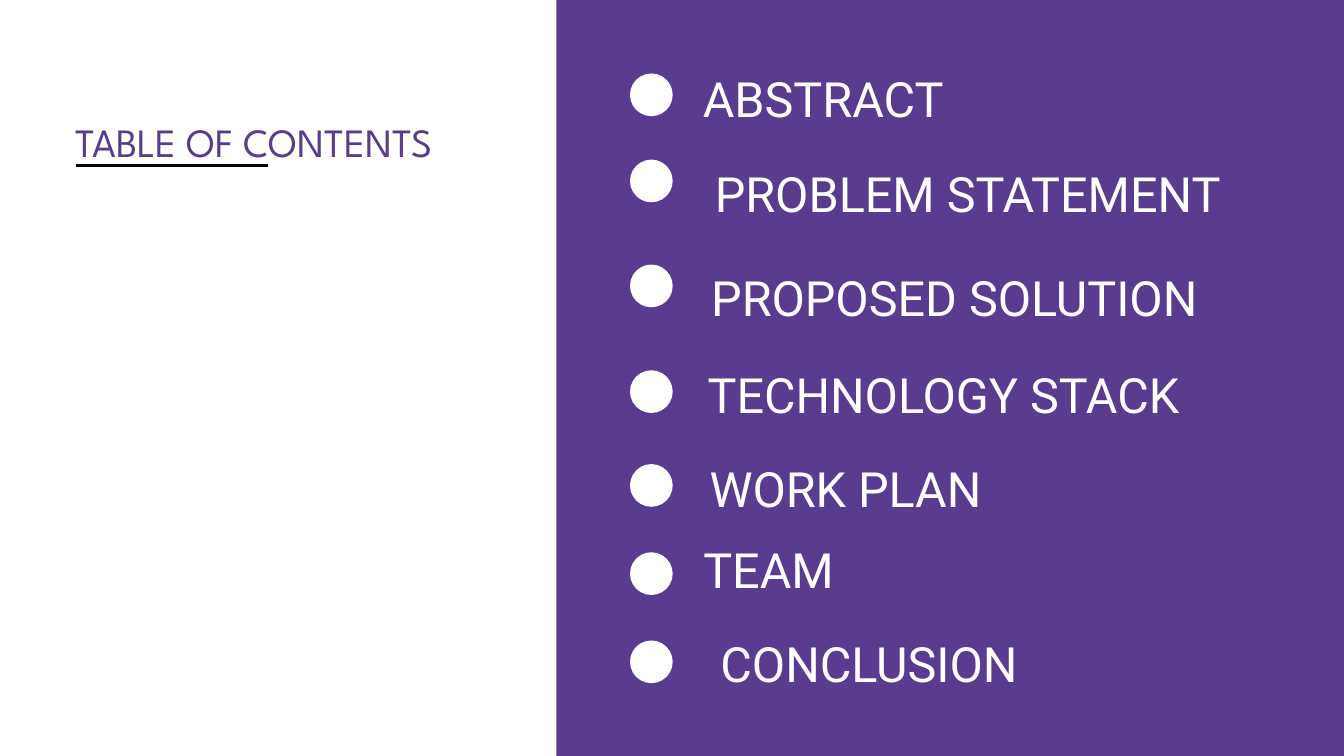
from lxml import etree
from pptx import Presentation
from pptx import util as u
from pptx.dml.color import RGBColor
from pptx.enum import shapes, text
from pptx.oxml.ns import qn

PX = 9525
PURPLE = RGBColor(0x59, 0x3C, 0x8F)
WHITE = RGBColor(0xFF, 0xFF, 0xFF)
BLACK = RGBColor(0, 0, 0)

DOT_LEFT, DOT_SIZE = 900, 61
ENTRY_HEIGHT = 93
ENTRIES = [
    ("ABSTRACT", 105, 994, 84, 364),
    ("PROBLEM STATEMENT", 228, 900, 221, 965),
    ("PROPOSED SOLUTION", 378, 978, 369, 771),
    ("TECHNOLOGY STACK", 529, 929, 508, 838),
    ("WORK PLAN", 663, 929, 642, 558),
    ("TEAM", 789, 614, 757, 968),
    ("CONCLUSION", 915, 900, 892, 683),
]


class Page:
    heading_font = "League Spartan"
    body_font = "Roboto"

    def __init__(self, slide):
        self.slide = slide

    def shape(self, kind, left, top, width, height, color):
        box = [value * PX for value in (left, top, width, height)]
        shape = self.slide.shapes.add_shape(kind, *box)
        shape.shadow.inherit = False
        shape.fill.solid()
        shape.fill.fore_color.rgb = color
        shape.line.fill.background()

    def label(self, words, left, top, width, height, font, size, spacing, color, align):
        box = [value * PX for value in (left, top, width, height)]
        frame = self.slide.shapes.add_textbox(*box).text_frame
        frame.word_wrap = True
        frame.auto_size = text.MSO_AUTO_SIZE.SHAPE_TO_FIT_TEXT
        frame.margin_left = frame.margin_top = 0
        frame.margin_right = frame.margin_bottom = 0
        paragraph = frame.paragraphs[0]
        paragraph.text = words
        paragraph.alignment = align
        paragraph.line_spacing = u.Pt(spacing)
        paragraph.font.name = font
        paragraph.font.size = u.Pt(size)
        paragraph.font.color.rgb = color

    def rule(self, left, right, y, weight, color):
        connector = self.slide.shapes.add_connector(
            shapes.MSO_CONNECTOR.STRAIGHT, left * PX, y * PX, right * PX, y * PX)
        connector.line.width = u.Pt(weight)
        connector.line.color.rgb = color
        etree.SubElement(connector.element.spPr, qn("a:effectLst"))

    def heading(self, words, left, top, width, height):
        self.label(words, left, top, width, height, self.heading_font, 43, 60.2,
                   PURPLE, text.PP_ALIGN.LEFT)

    def entry(self, words, dot_top, left, top, width):
        self.shape(shapes.MSO_SHAPE.OVAL, DOT_LEFT, dot_top, DOT_SIZE, DOT_SIZE, WHITE)
        self.label(words, left, top, width, ENTRY_HEIGHT, self.body_font, 52, 72.8,
                   WHITE, text.PP_ALIGN.CENTER)


def main():
    presentation = Presentation()
    presentation.slide_width = 1920 * PX
    presentation.slide_height = 1080 * PX
    page = Page(presentation.slides.add_slide(presentation.slide_layouts[6]))
    page.heading("TABLE OF CONTENTS", 108, 156, 687, 78)
    page.rule(108, 383, 236, 3, BLACK)
    page.shape(shapes.MSO_SHAPE.RECTANGLE, 795, 0, 1125, 1080, PURPLE)
    for entry in ENTRIES:
        page.entry(*entry)
    presentation.save("out.pptx")


if __name__ == "__main__":
    main()
